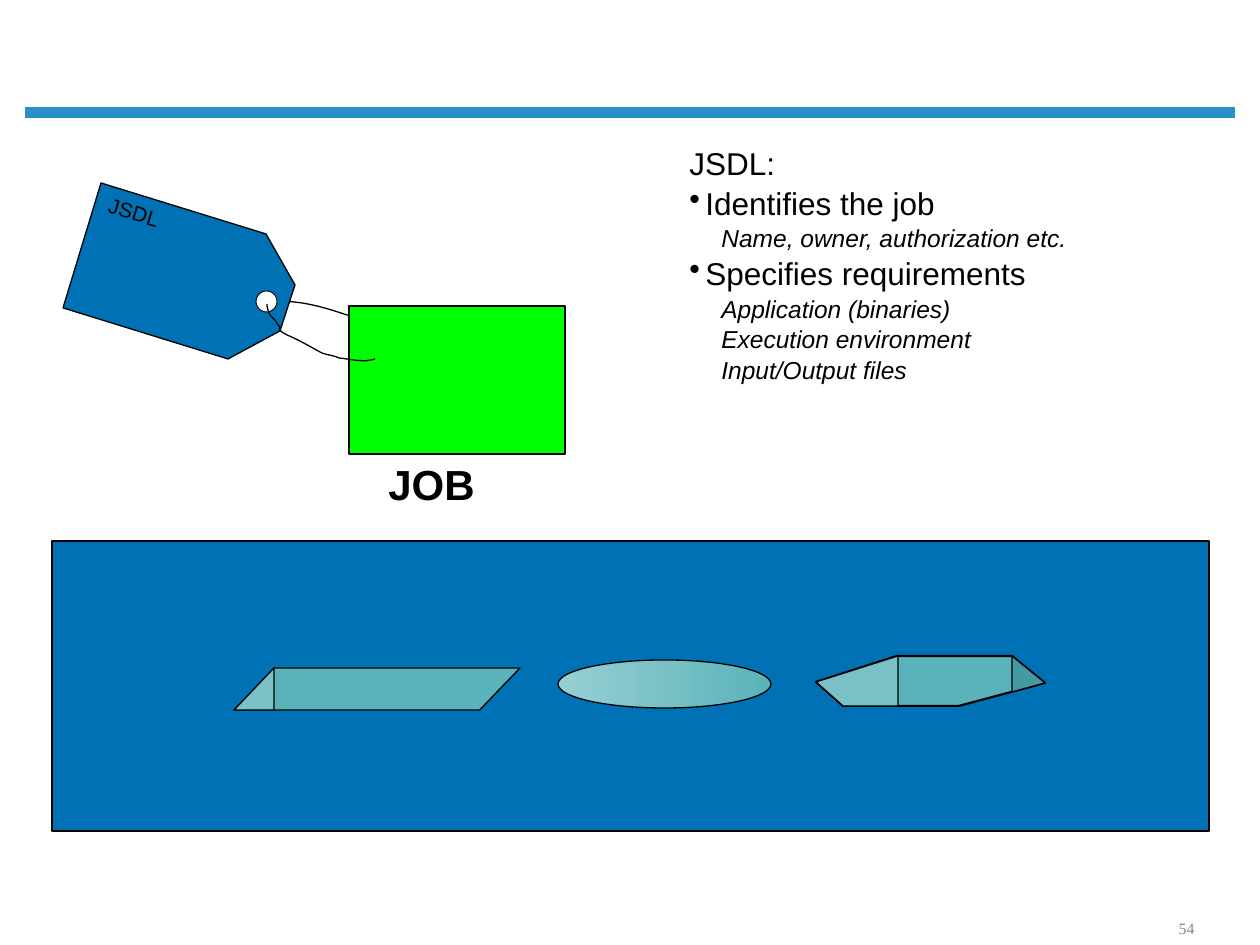
from pptx import Presentation
from pptx.util import Pt
from pptx.dml.color import RGBColor
from pptx.enum.shapes import MSO_SHAPE
from pptx.enum.text import MSO_ANCHOR, PP_ALIGN
from lxml import etree

RECT, OVAL, SLANT = MSO_SHAPE.RECTANGLE, MSO_SHAPE.OVAL, MSO_SHAPE.PARALLELOGRAM
BOTTOM, CENTER = MSO_ANCHOR.BOTTOM, PP_ALIGN.CENTER
PX = 914400 / 126
NS = "http://schemas.openxmlformats.org/drawingml/2006/main"
HEX = {"rule": "2990CA", "blue": "0071B5", "green": "00FF00", "white": "FFFFFF",
       "black": "000000", "teal": "5AB3BA", "light": "79C1C7", "pale": "97CFD3",
       "dark": "439AA1", "gray": "848589"}
RGB = {name: RGBColor.from_string(code) for name, code in HEX.items()}

prs = Presentation()
prs.slide_width, prs.slide_height = round(1260 * PX), round(945 * PX)
slide = prs.slides.add_slide(prs.slide_layouts[6])
shapes = slide.shapes


def paint(shape, fill, width):
    shape.shadow.inherit = False
    if fill:
        shape.fill.solid()
        shape.fill.fore_color.rgb = RGB[fill]
    else:
        shape.fill.background()
    if width:
        shape.line.color.rgb = RGB["black"]
        shape.line.width = Pt(width)
    else:
        shape.line.fill.background()
    return shape


def trace(points, fill, width=0.75):
    spots = [(x * PX, y * PX) for x, y in points]
    path = shapes.build_freeform(*spots[0])
    path.add_line_segments(spots[1:], close=bool(fill))
    return paint(path.convert_to_shape(), fill, width)


# Each wire is a start point and then Bezier triples
back = [(267, 302), (278, 297), (271, 300), (294, 302), (316, 304), (338, 312),
        (359, 319), (363, 325), (367, 330), (374, 334), (378, 347), (373, 331),
        (378, 341), (381, 344), (379, 348), (382, 350), (384, 355), (384, 350),
        (384, 354)]
front = [(375, 359), (364, 363), (350, 359), (339, 358), (333, 355), (325, 355),
         (320, 352), (311, 347), (297, 339), (287, 335), (286, 334), (282, 333),
         (280, 330), (280, 329), (280, 326), (278, 325), (277, 322), (273, 318),
         (270, 315), (268, 311), (267, 307), (267, 304)]
wires = []
for knots in (back, front):
    curve = knots[:1]
    for i in range(0, len(knots) - 1, 3):
        a, b, c, d = knots[i:i + 4]
        for step in range(1, 9):
            t = step / 8
            u = 1 - t
            curve.append(tuple(u**3 * a[k] + 3 * u * u * t * b[k]
                               + 3 * u * t * t * c[k] + t**3 * d[k] for k in (0, 1)))
    wires.append(curve)

# Header rule, back wire, panel and its icons, job box
trace([(25, 107), (1235, 107), (1235, 118), (25, 118)], "rule", 0)
trace(wires[0], None)
for kind, x, y, w, h, fill, width in [
        (RECT, 52, 541, 1157, 290, "blue", 0.75),
        (SLANT, 234, 668, 286, 42, "teal", 0.75),
        (OVAL, 558, 660, 213, 48, "teal", 0.75),
        (RECT, 349, 306, 216, 148, "green", 0.75)]:
    box = shapes.add_shape(kind, *(round(v * PX) for v in (x, y, w, h)))
    paint(box, fill, width)
    if kind == SLANT:
        box.adjustments[0] = 0.96
    if kind == OVAL:
        box.fill.gradient()
        box.fill.gradient_angle = 180
        for stop, name in zip(box.fill.gradient_stops, ("teal", "pale")):
            stop.color.rgb = RGB[name]

# Facets of the icons
trace([(274, 668), (274, 710), (234, 710)], "light")
trace([(816, 682), (897, 656), (1012, 656), (1045, 683), (959, 706), (843, 706)],
      "teal", 1.25)
trace([(1045, 683), (1012, 692), (1012, 656)], "dark")
trace([(898, 656), (898, 706), (843, 706), (816, 682)], "light")

# Tag with its hole and front wire
trace([(101, 183), (63, 308), (228, 359), (280, 331), (295, 285), (266, 234)], "blue")
hole = shapes.add_shape(OVAL, *(round(v * PX) for v in (256, 291, 21, 21)))
paint(hole, "white", 0.5)
trace(wires[1], None)

# Text: box, turn, then lines of (text, size, style)
notes = [("JSDL:", 18, "head"), ("Identifies the job", 18, "bullet"),
         ("Name, owner, authorization etc.", 14, "sub"),
         ("Specifies requirements", 18, "bullet"),
         ("Application (binaries)", 14, "sub"),
         ("Execution environment", 14, "sub"), ("Input/Output files", 14, "sub")]
for spot, turn, lines in [
        ((81, 205, 171, 130), 16.6, [("JSDL", 12, "plain")]),
        ((376, 452, 112, 63), 0, [("JOB", 24, "bold")]),
        ((677, 136, 403, 349), 0, notes),
        ((1134, 914, 105, 30), 0, [("54", 9, "page")])]:
    box = shapes.add_textbox(*(round(v * PX) for v in spot))
    box.rotation = turn
    frame = box.text_frame
    frame.word_wrap = True
    frame.text = "\n".join(line[0] for line in lines)
    for para, (_, size, style) in zip(frame.paragraphs, lines):
        if style in ("head", "bullet", "sub"):
            para.line_spacing = 1.05
            props = para._p.get_or_add_pPr()
            left, hang = (32, 0) if style == "sub" else (16, -16)
            props.set("marL", str(round(left * PX)))
            props.set("indent", str(round(hang * PX)))
            if style == "bullet":
                etree.SubElement(props, f"{{{NS}}}buChar", char="•")
            if style == "sub":
                para.level = 1
        page = style == "page"
        if page:
            para.alignment = CENTER
            frame.vertical_anchor = BOTTOM
        font = para.runs[0].font
        font.name = "Times New Roman" if page else "Arial"
        font.size = Pt(size)
        font.bold = style == "bold"
        font.italic = style == "sub"
        font.color.rgb = RGB["gray" if page else "black"]

prs.save("out.pptx")
